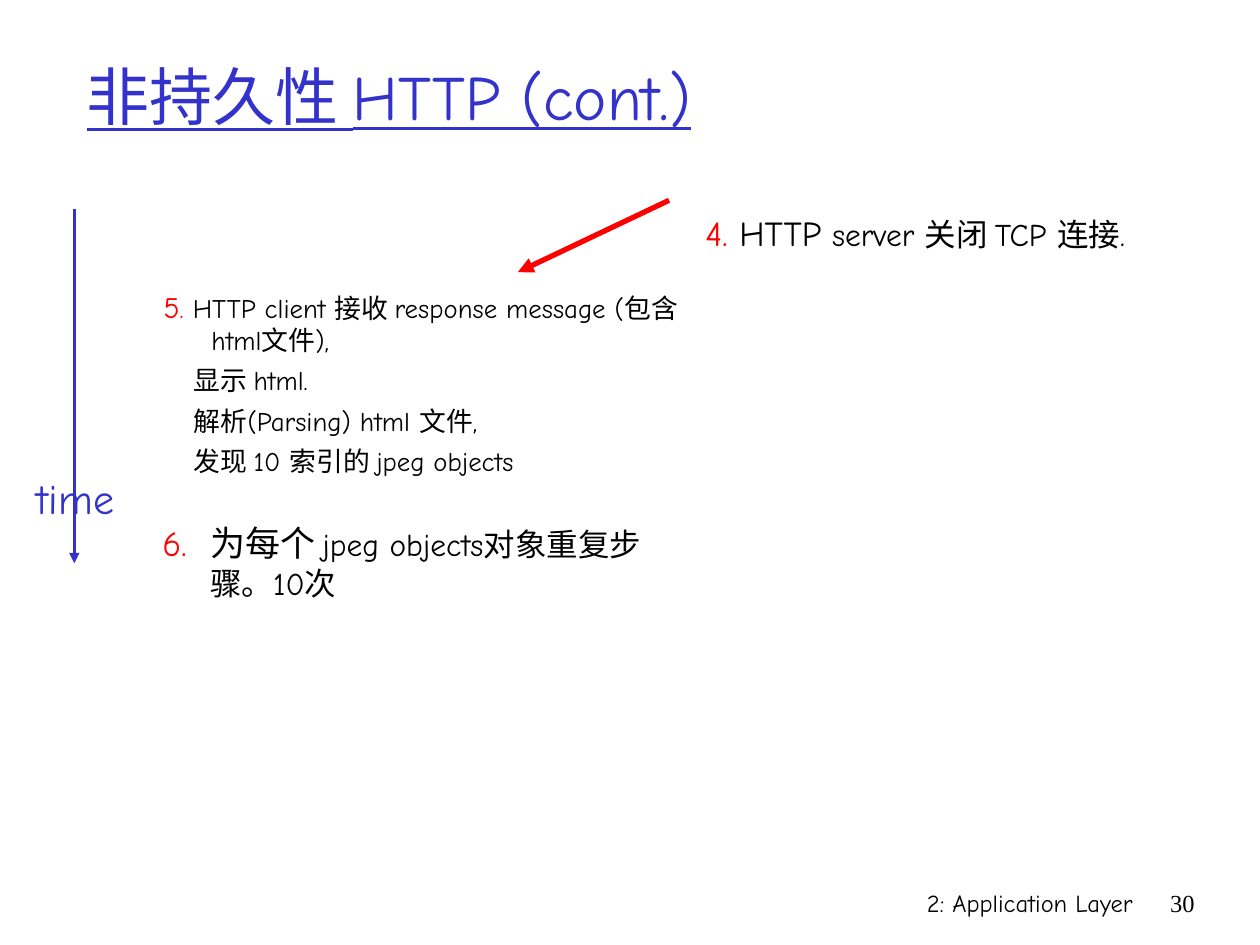
"""Build the slide on closing a non-persistent HTTP exchange."""
from lxml.etree import SubElement
from pptx import Presentation
from pptx.dml.color import RGBColor as RGB
from pptx.enum.shapes import MSO_CONNECTOR as CONNECTOR
from pptx.enum.text import MSO_ANCHOR as ANCHOR, PP_ALIGN as ALIGN
from pptx.oxml.ns import qn
from pptx.util import Inches, Pt

COLORS = {"ink": "000000", "blue": "3333CC", "red": "FF0000"}
HAND, SERIF = "Comic Neue", "Times New Roman"
WIDTH, HEIGHT = 10, 7.5
HANG, CONTINUED = (0.38, -0.38), (0.24, 0)

TITLE = [[("非持久性 HTTP (cont.)", 36, "blue")]]
FOOTER = [[("2: Application Layer", 14, "ink")]]
PAGE = [[("30", 14, "ink")]]
TIME = [[("time", 24, "blue")]]
CLOSE_STEP = [[("4.", 20, "red"), (" HTTP", 20, "ink"), (" server 关闭 TCP 连接.", 18, "ink")]]
RECEIVE_STEP = [
    [("5", 17, "red"), (".", 15.3, "red"),
     (" HTTP client 接收 response message (包含html文件),", 15.3, "ink")],
    [("显示 html.", 15.3, "ink")],
    [("解析(Parsing) html 文件,", 15.3, "ink")],
    [("发现 10 索引的 jpeg objects", 15.3, "ink")],
]
REPEAT_STEP = [[("6.\t", 20, "red"), ("为每个", 20, "ink"),
                (" jpeg objects对象重复步骤。10次", 18, "ink")]]

TEXTS = [
    (FOOTER, (5.92, 7, 3.17, 0.5), {"align": ALIGN.RIGHT}),
    (PAGE, (9.08, 7, 0.5, 0.5), {"align": ALIGN.RIGHT, "face": SERIF}),
    (TITLE, (0.59, 0.28, 8.5, 0.95), {"anchor": ANCHOR.MIDDLE, "underline": True}),
    (RECEIVE_STEP, (1.2, 2.24, 4.46, 1.68), {"step": True}),
    (REPEAT_STEP, (1.19, 4.09, 4.05, 0.73), {"step": True}),
    (CLOSE_STEP, (5.5, 1.63, 4.17, 0.8), {"step": True}),
]
TIME_AXIS = ((0.59, 1.66), (0.59, 4.47), "blue", 1.5)
REPLY = ((5.31, 1.59), (4.11, 2.16), "red", 3)


def style(font, size, color):
    font.size = Pt(size)
    font.color.rgb = RGB.from_string(COLORS[color])


def add_text(slide, content, place, align=ALIGN.LEFT, anchor=ANCHOR.TOP,
             face=HAND, underline=None, step=False):
    frame = slide.shapes.add_textbox(*map(Inches, place)).text_frame
    frame.word_wrap = True
    frame.vertical_anchor = anchor
    for row, pieces in enumerate(content):
        line = frame.add_paragraph() if row else frame.paragraphs[0]
        line.alignment = align
        if step:
            margin, indent = CONTINUED if row else HANG
            props = line._p.get_or_add_pPr()
            props.set("marL", str(Inches(margin)))
            props.set("indent", str(Inches(indent)))
        if row:
            line.space_before = Pt(4.5)
        line.font.name = face
        line.font.underline = underline
        if len(pieces) == 1:
            style(line.font, *pieces[0][1:])
        for words, size, color in pieces:
            run = line.add_run()
            run.text = words
            if len(pieces) > 1:
                style(run.font, size, color)


def add_arrow(slide, start, end, color, weight):
    arrow = slide.shapes.add_connector(CONNECTOR.STRAIGHT, *map(Inches, start + end))
    arrow.line.color.rgb = RGB.from_string(COLORS[color])
    arrow.line.width = Pt(weight)
    SubElement(arrow.line._get_or_add_ln(), qn("a:tailEnd"), type="triangle")
    SubElement(arrow._element.spPr, qn("a:effectLst"))


def main():
    deck = Presentation()
    deck.slide_width, deck.slide_height = Inches(WIDTH), Inches(HEIGHT)
    slide = deck.slides.add_slide(deck.slide_layouts[6])
    for content, place, options in TEXTS:
        add_text(slide, content, place, **options)
    add_arrow(slide, *TIME_AXIS)
    add_text(slide, TIME, (0.1, 3.7, 1, 0.5), align=ALIGN.CENTER)
    add_arrow(slide, *REPLY)
    deck.save("out.pptx")


if __name__ == "__main__":
    main()
